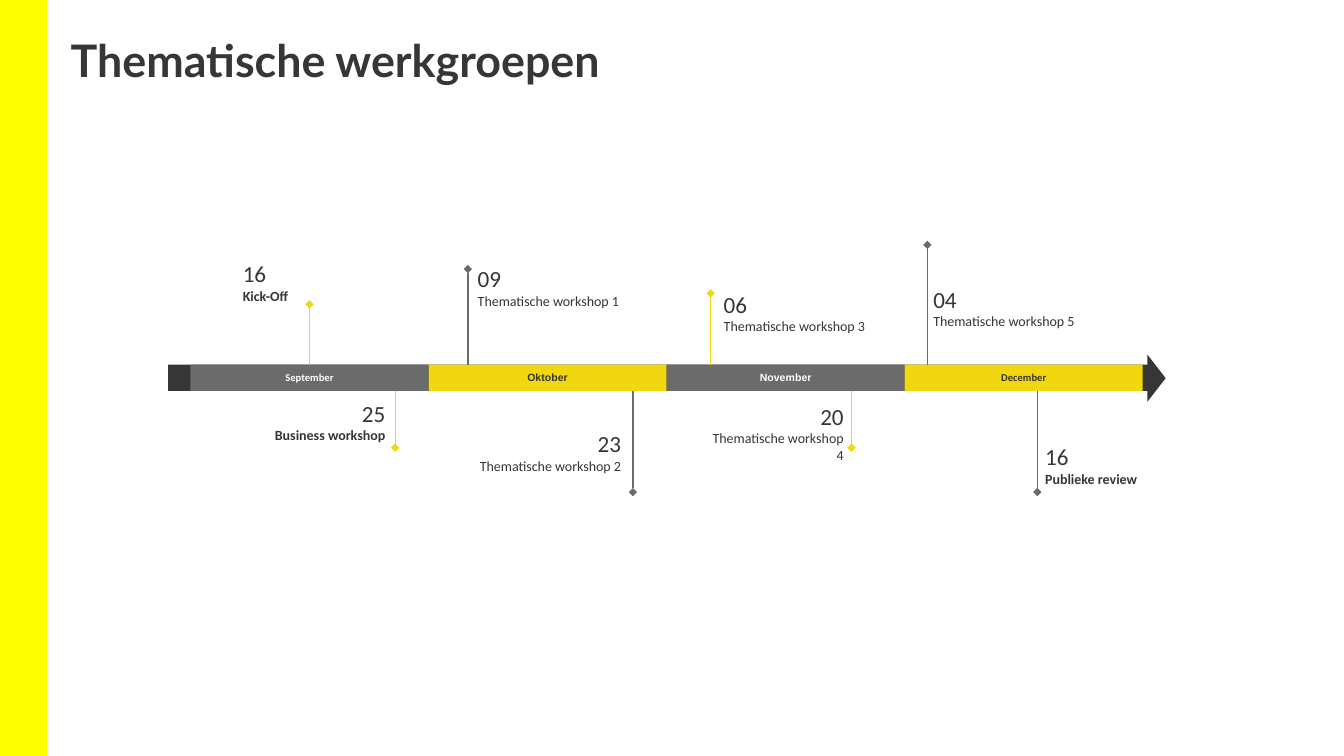
"""Build the timeline slide of the thematic working groups."""
from dataclasses import dataclass

from lxml import etree
from pptx import Presentation
from pptx.dml.color import RGBColor
from pptx.enum.shapes import MSO_CONNECTOR, MSO_SHAPE
from pptx.enum.text import MSO_ANCHOR, PP_ALIGN
from pptx.oxml.ns import qn
from pptx.util import Cm, Pt

RECT, TRIANGLE = MSO_SHAPE.RECTANGLE, MSO_SHAPE.ISOSCELES_TRIANGLE
STRAIGHT = MSO_CONNECTOR.STRAIGHT
TOP, MIDDLE, BOTTOM = MSO_ANCHOR.TOP, MSO_ANCHOR.MIDDLE, MSO_ANCHOR.BOTTOM
LEFT, CENTER, RIGHT = PP_ALIGN.LEFT, PP_ALIGN.CENTER, PP_ALIGN.RIGHT


@dataclass(frozen=True)
class Theme:
    """Colours, fonts and type sizes of the slide."""
    strip: RGBColor = RGBColor(0xFF, 0xFF, 0x00)
    yellow: RGBColor = RGBColor(0xF0, 0xD7, 0x0F)
    grey: RGBColor = RGBColor(0x6B, 0x6B, 0x6B)
    dark: RGBColor = RGBColor(0x37, 0x36, 0x36)
    white: RGBColor = RGBColor(0xFF, 0xFF, 0xFF)
    title_font: str = "Lato"
    body_font: str = "Calibri"
    alt_font: str = "Arial"
    title: Pt = Pt(32)
    day: Pt = Pt(16.5)
    event: Pt = Pt(10)
    month: Pt = Pt(7.5)
    line: Pt = Pt(1)


@dataclass(frozen=True)
class Month:
    """One section of the time bar."""
    name: str
    fill: RGBColor
    color: RGBColor
    font: str


@dataclass(frozen=True)
class Milestone:
    """A dated event: its marker and its label box, in centimetres."""
    day: str
    event: str
    x: float
    tip: float
    box: tuple[float, float, float, float]
    color: RGBColor
    align: PP_ALIGN = LEFT
    bold: bool = False


T = Theme()
BAR_TOP, BAR_H = 9.19, 0.66
MONTH_LEFT, MONTH_W = 4.8, 6.0
MONTHS = [
    Month("September", T.grey, T.white, T.body_font),
    Month("Oktober", T.yellow, T.dark, T.alt_font),
    Month("November", T.grey, T.white, T.alt_font),
    Month("December", T.yellow, T.dark, T.body_font),
]
MILESTONES = [
    Milestone("16", "Kick-Off", 7.8, 7.67, (6.12, 5.92, 3.38, 1.75), T.yellow, bold=True),
    Milestone("25", "Business workshop", 9.96, 11.28, (5.87, 10.06, 3.84, 2.24), T.yellow, RIGHT, True),
    Milestone("09", "Thematische workshop 1", 11.79, 6.78, (12.04, 6.55, 3.71, 1.24), T.grey),
    Milestone("23", "Thematische workshop 2", 15.95, 12.4, (12.04, 10.82, 3.61, 1.42), T.grey, RIGHT),
    Milestone("06", "Thematische workshop 3", 17.91, 7.39, (18.24, 5.61, 3.71, 2.82), T.yellow),
    Milestone("20", "Thematische workshop 4", 21.46, 11.28, (17.75, 10.13, 3.51, 1.75), T.yellow, RIGHT),
    Milestone("04", "Thematische workshop 5", 23.37, 6.17, (23.52, 6.2, 4.22, 2.11), T.grey),
    Milestone("16", "Publieke review", 26.14, 12.4, (26.34, 10.16, 2.62, 2.11), T.grey, bold=True),
]


def add_block(s, kind: MSO_SHAPE, box: tuple, fill: RGBColor):
    """Draw a flat filled shape."""
    sp = s.shapes.add_shape(kind, *map(Cm, box))
    sp.shadow.inherit = False
    sp.fill.solid()
    sp.fill.fore_color.rgb = fill
    sp.line.fill.background()
    return sp


def set_frame(tf, anchor: MSO_ANCHOR, inset: float = 0) -> None:
    """Set wrapping, anchoring and equal insets of a text frame."""
    formats = {"word_wrap": True, "vertical_anchor": anchor}
    formats |= {f"margin_{side}": Cm(inset) for side in ("left", "top", "right", "bottom")}
    for name, value in formats.items():
        setattr(tf, name, value)


def write(p, text: str, color: RGBColor, align: PP_ALIGN = LEFT, **formats) -> None:
    """Write one run into a paragraph with the given font formats."""
    p.alignment = align
    r = p.add_run()
    r.text = text
    r.font.color.rgb = color
    for name, value in formats.items():
        setattr(r.font, name, value)


def add_title(s, text: str) -> None:
    """Write the slide title."""
    tf = s.shapes.add_textbox(Cm(1.78), Cm(0.97), Cm(23.14), Cm(1.63)).text_frame
    set_frame(tf, TOP)
    p = tf.paragraphs[0]
    p.line_spacing = 0.9
    write(p, text, T.dark, name=T.title_font, size=T.title, bold=True)


def add_bar(s) -> list:
    """Draw the time arrow and return its month sections."""
    add_block(s, RECT, (4.24, BAR_TOP, 24.69, BAR_H), T.dark)
    sections = []
    for i, month in enumerate(MONTHS):
        sp = add_block(s, RECT, (MONTH_LEFT + i * MONTH_W, BAR_TOP, MONTH_W, BAR_H), month.fill)
        set_frame(sp.text_frame, MIDDLE, 0.15)
        write(sp.text_frame.paragraphs[0], month.name, month.color, CENTER,
              name=month.font, size=T.month, bold=True)
        sections.append(sp)
    add_block(s, TRIANGLE, (28.55, 9.3, 1.19, 0.46), T.dark).rotation = 90
    return sections


def add_milestone(s, m: Milestone, sections: list) -> None:
    """Draw a marker with a diamond tip and its label."""
    above = m.tip < BAR_TOP
    start = BAR_TOP if above else BAR_TOP + BAR_H
    line = s.shapes.add_connector(STRAIGHT, Cm(m.x), Cm(start), Cm(m.x), Cm(m.tip))
    line.line.color.rgb = m.color
    line.line.width = T.line
    etree.SubElement(line.line._get_or_add_ln(), qn("a:tailEnd"), type="diamond")
    etree.SubElement(line._element.spPr, qn("a:effectLst"))
    for i, sp in enumerate(sections):
        if abs(MONTH_LEFT + (i + 0.5) * MONTH_W - m.x) < 0.01:
            line.begin_connect(sp, 0 if above else 2)

    tf = s.shapes.add_textbox(*map(Cm, m.box)).text_frame
    set_frame(tf, TOP if m.align == RIGHT else BOTTOM)
    write(tf.paragraphs[0], m.day, T.dark, m.align, name=T.body_font, size=T.day)
    write(tf.add_paragraph(), m.event, T.dark, m.align,
          name=T.body_font, size=T.event, bold=m.bold)


def main() -> None:
    """Build and save the slide."""
    prs = Presentation()
    prs.slide_width, prs.slide_height = Cm(33.87), Cm(19.05)
    s = prs.slides.add_slide(prs.slide_layouts[6])
    add_block(s, RECT, (0, 0, 1.19, 19.05), T.strip)
    add_title(s, "Thematische werkgroepen")
    sections = add_bar(s)
    for m in MILESTONES:
        add_milestone(s, m, sections)
    prs.save("out.pptx")


if __name__ == "__main__":
    main()
